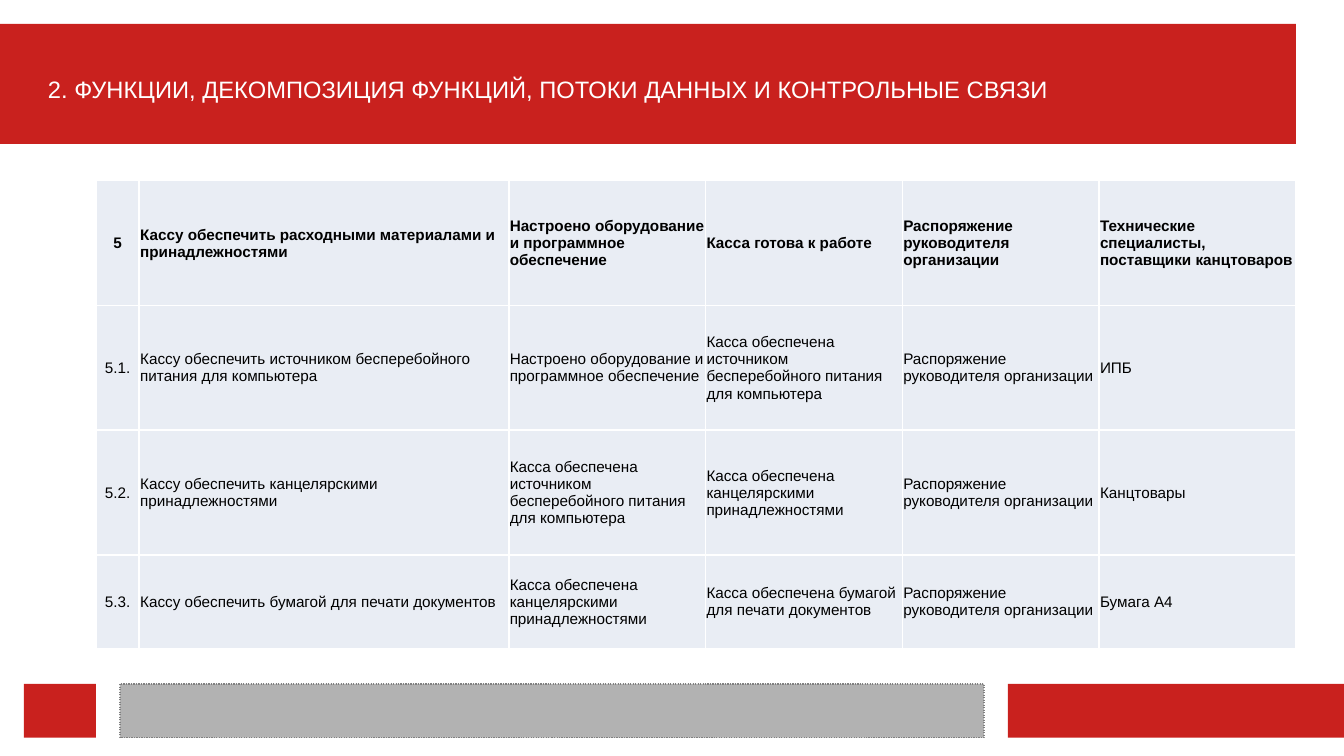
"""Builds a slide with a table of functions for equipping the cash desk."""
from lxml.etree import SubElement
from pptx import Presentation
from pptx.dml.color import RGBColor
from pptx.enum.dml import MSO_LINE
from pptx.enum.shapes import MSO_SHAPE
from pptx.enum.text import MSO_ANCHOR, MSO_AUTO_SIZE, PP_ALIGN
from pptx.oxml.ns import qn
from pptx.util import Cm, Pt

TITLE = "2. ФУНКЦИИ, ДЕКОМПОЗИЦИЯ ФУНКЦИЙ, ПОТОКИ ДАННЫХ И КОНТРОЛЬНЫЕ СВЯЗИ"
EQUIPMENT = "Настроено оборудование и программное обеспечение"
POWER = "Касса обеспечена источником бесперебойного питания для компьютера"
STATIONERY = "Касса обеспечена канцелярскими принадлежностями"
PAPER = "Касса обеспечена бумагой для печати документов"
ORDER = "Распоряжение руководителя организации"
ROWS = [
    ("5", "Кассу обеспечить расходными материалами и принадлежностями",
     EQUIPMENT, "Касса готова к работе", ORDER,
     "Технические специалисты, поставщики канцтоваров"),
    ("5.1.", "Кассу обеспечить источником бесперебойного питания для компьютера",
     EQUIPMENT, POWER, ORDER, "ИПБ"),
    ("5.2.", "Кассу обеспечить канцелярскими принадлежностями",
     POWER, STATIONERY, ORDER, "Канцтовары"),
    ("5.3.", "Кассу обеспечить бумагой для печати документов",
     STATIONERY, PAPER, ORDER, "Бумага А4"),
]
COLUMN_WIDTHS = [0.9, 7.7] + [4.1] * 4
ROW_HEIGHTS = [2.6] * 3 + [1.95]
COLORS = {"red": "C9211E", "gray": "B2B2B2", "outline": "808080",
          "cell": "E9EDF4", "white": "FFFFFF", "black": "000000"}
FOOTER_TOP, FOOTER_HEIGHT = 14.25, 1.12
BARS = [
    (0, 0.5, 27, 2.5, "red"),
    (21, FOOTER_TOP, 7, FOOTER_HEIGHT, "red"),
    (2.5, FOOTER_TOP, 18, FOOTER_HEIGHT, "gray"),
    (0.5, FOOTER_TOP, 1.5, FOOTER_HEIGHT, "red"),
]


def rgb(name):
    return RGBColor.from_string(COLORS[name])


def add_span(para, text, size, color, bold=False):
    span = para.add_run()
    span.text = text
    font = span.font
    font.name, font.size, font.bold = "Arial", Pt(size), bold
    font.color.rgb = rgb(color)


def add_bar(page, left, top, width, height, color):
    bar = page.shapes.add_shape(MSO_SHAPE.RECTANGLE, Cm(left), Cm(top), Cm(width), Cm(height))
    bar.shadow.inherit = False
    bar.fill.solid()
    bar.fill.fore_color.rgb = rgb(color)
    if color == "gray":
        bar.line.color.rgb = rgb("outline")
        bar.line.width = Pt(0)
        bar.line.dash_style = MSO_LINE.ROUND_DOT
    else:
        bar.line.fill.background()


def format_title(title):
    title.left, title.top, title.width, title.height = Cm(1), Cm(0.75), Cm(26), Cm(2)
    frame = title.text_frame
    frame.margin_left = frame.margin_right = frame.margin_top = 0
    frame.margin_bottom = Cm(0.6)
    frame.vertical_anchor = MSO_ANCHOR.BOTTOM
    frame.auto_size = MSO_AUTO_SIZE.NONE
    frame.word_wrap = True
    para = frame.paragraphs[0]
    para.alignment = PP_ALIGN.LEFT
    add_span(para, TITLE, 14, "white")
    title.element.getparent().append(title.element)


def add_borders(cell):
    properties = cell._tc.get_or_add_tcPr()
    for side in ("a:lnL", "a:lnR", "a:lnT", "a:lnB"):
        line = SubElement(properties, qn(side), w=str(Pt(1)))
        SubElement(SubElement(line, qn("a:solidFill")), qn("a:srgbClr"), val=COLORS["white"])


def fill_cell(cell, text, centered, bold):
    add_borders(cell)
    cell.fill.solid()
    cell.fill.fore_color.rgb = rgb("cell")
    cell.margin_left = cell.margin_right = cell.margin_top = Cm(0.02)
    cell.margin_bottom = 0
    cell.vertical_anchor = MSO_ANCHOR.MIDDLE
    para = cell.text_frame.paragraphs[0]
    para.alignment = PP_ALIGN.CENTER if centered else PP_ALIGN.LEFT
    add_span(para, text, 9, "black", bold)


def add_functions(page):
    table = page.shapes.add_table(
        len(ROWS), len(COLUMN_WIDTHS), Cm(2), Cm(3.76),
        Cm(sum(COLUMN_WIDTHS)), Cm(sum(ROW_HEIGHTS))).table
    for column, width in zip(table.columns, COLUMN_WIDTHS):
        column.width = Cm(width)
    for row, height in zip(table.rows, ROW_HEIGHTS):
        row.height = Cm(height)
    for i, texts in enumerate(ROWS):
        for j, text in enumerate(texts):
            fill_cell(table.cell(i, j), text, centered=j == 0, bold=i == 0)


def main():
    deck = Presentation()
    deck.slide_width, deck.slide_height = Cm(28), Cm(15.75)
    page = deck.slides.add_slide(deck.slide_layouts[5])
    for bar in BARS:
        add_bar(page, *bar)
    format_title(page.shapes.title)
    add_functions(page)
    deck.save("out.pptx")


if __name__ == "__main__":
    main()
